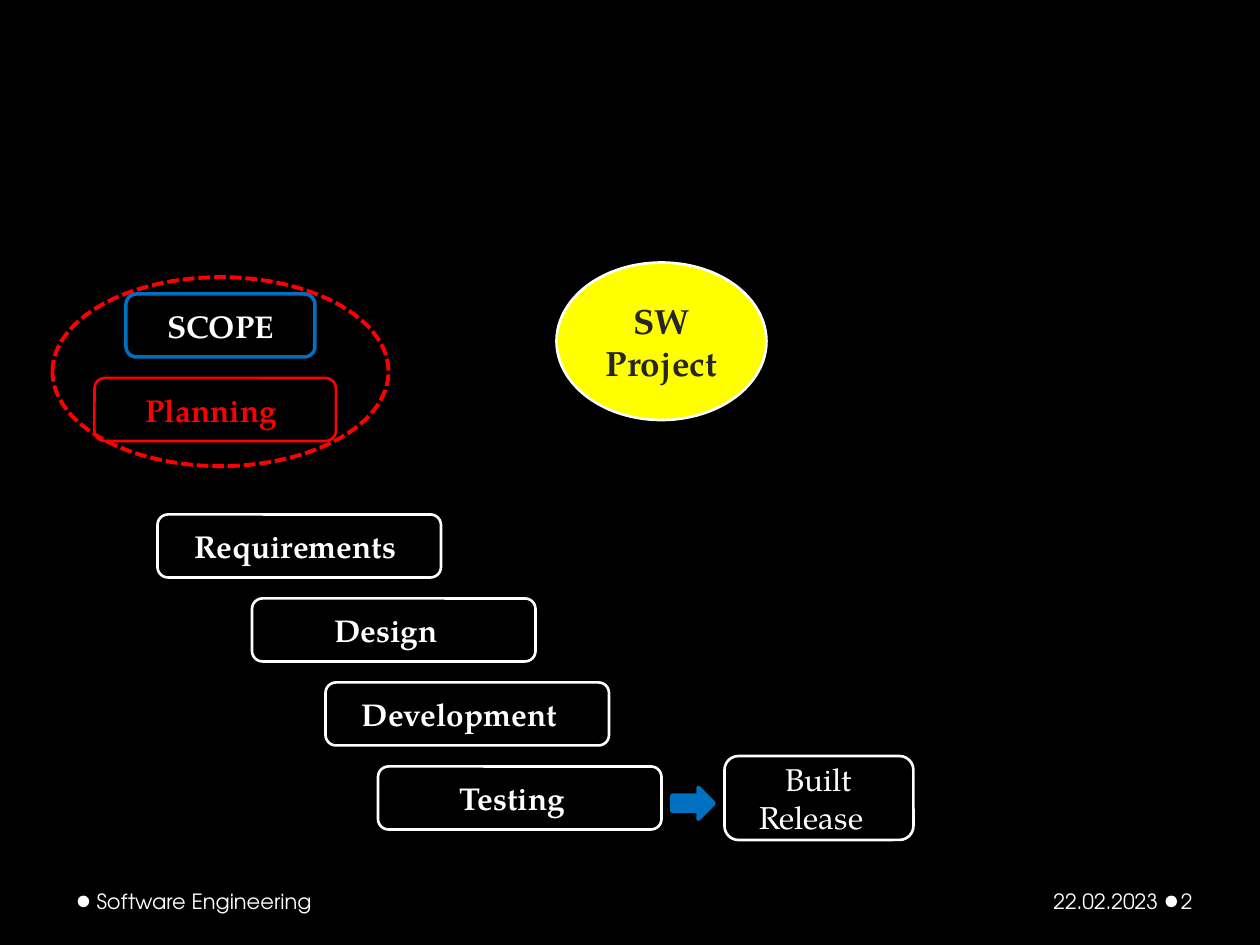
from pptx import Presentation
from pptx.dml.color import RGBColor
from pptx.enum.dml import MSO_LINE as Dash
from pptx.enum.shapes import MSO_SHAPE as Kind
from pptx.enum.text import MSO_ANCHOR as Anchor, PP_ALIGN as Align
from pptx.util import Inches, Pt

HEX = {
    "black": "000000", "white": "FFFFFF", "dark": "262626",
    "red": "FF0000", "blue": "0070C0", "yellow": "FFFF00",
}
SERIF, SANS = "TeX Gyre Pagella", "TeX Gyre Adventor"
COLS, ROWS = 120, 90
WIDE, HIGH = Inches(10), Inches(7.5)
SHIFT = 0.12  # extra right inset that moves a centred label left


def color(name):
    return RGBColor.from_string(HEX[name])


def place(col, row, cols, rows):
    """Turn grid columns and rows into slide lengths."""
    unit, step = WIDE / COLS, HIGH / ROWS
    return [round(n) for n in (col * unit, row * step, cols * unit, rows * step)]


def write(frame, text, size, font, ink, bold=False, align=Align.CENTER,
          pad=(0.1, 0.1)):
    frame.word_wrap = True
    frame.vertical_anchor = Anchor.MIDDLE
    frame.margin_left, frame.margin_right = map(Inches, pad)
    frame.text = text
    for para in frame.paragraphs:
        para.alignment = align
        para.font.size = Pt(size)
        para.font.name = font
        para.font.bold = bold
        para.font.color.rgb = color(ink)


def draw(slide, kind, cell, fill=None, line=None, width=1.5):
    shape = slide.shapes.add_shape(kind, *place(*cell))
    shape.shadow.inherit = False
    if fill:
        shape.fill.solid()
        shape.fill.fore_color.rgb = color(fill)
    else:
        shape.fill.background()
    if line:
        shape.line.color.rgb = color(line)
        shape.line.width = Pt(width)
    else:
        shape.line.fill.background()
    return shape


def box(slide, cell, text, line="white", ink="white", width=1.5, shift=SHIFT,
        bold=True):
    shape = draw(slide, Kind.ROUNDED_RECTANGLE, cell, None, line, width)
    write(shape.text_frame, text, 18, SERIF, ink, bold, pad=(0.1, 0.1 + shift))
    return shape


def note(slide, col, cols, text, pad, align=Align.LEFT):
    label = slide.shapes.add_textbox(*place(col, 83.4, cols, 4.8))
    write(label.text_frame, text, 12, SANS, "white", align=align, pad=pad)


def footer(slide):
    for col in (7.4, 111):
        draw(slide, Kind.OVAL, (col, 85.3, 1.1, 1.1), "white")
    note(slide, 8.6, 37.3, "Software Engineering", (0.05, 0.1))
    note(slide, 83.5, 27.4, "22.02.2023", (0.1, 0.05), Align.RIGHT)
    note(slide, 112.1, 7.3, "2", (0.03, 0.05))


def phases(slide):
    box(slide, (12, 28, 18, 6), "SCOPE", "blue", width=2, shift=0)
    box(slide, (9, 36, 23, 6), "Planning", "red", "red", shift=SHIFT / 2)
    steps = [("Requirements", 15, SHIFT / 2), ("Design", 24, SHIFT),
             ("Development", 31, SHIFT), ("Testing", 36, SHIFT)]
    for i, (name, col, shift) in enumerate(steps):
        box(slide, (col, 49 + 8 * i, 27, 6), name, shift=shift)


def release(slide):
    goal = box(slide, (69, 72, 18, 8), "Built\nRelease", bold=False)
    first = goal.text_frame.paragraphs[0]
    first._p.get_or_add_pPr().set("marL", str(Inches(SHIFT)))
    draw(slide, Kind.RIGHT_ARROW, (64, 75, 4, 3), "blue", "blue", 2.25)


def main():
    deck = Presentation()
    deck.slide_width, deck.slide_height = WIDE, HIGH
    slide = deck.slides.add_slide(deck.slide_layouts[6])
    slide.background.fill.solid()
    slide.background.fill.fore_color.rgb = color("black")
    footer(slide)
    project = draw(slide, Kind.OVAL, (53, 25, 20, 15), "yellow", "white")
    write(project.text_frame, "SW\nProject", 20, SERIF, "dark", True)
    phases(slide)
    release(slide)
    ring = draw(slide, Kind.OVAL, (5, 26.4, 32, 18), None, "red", 2.25)
    ring.line.dash_style = Dash.SQUARE_DOT
    deck.save("out.pptx")


if __name__ == "__main__":
    main()
